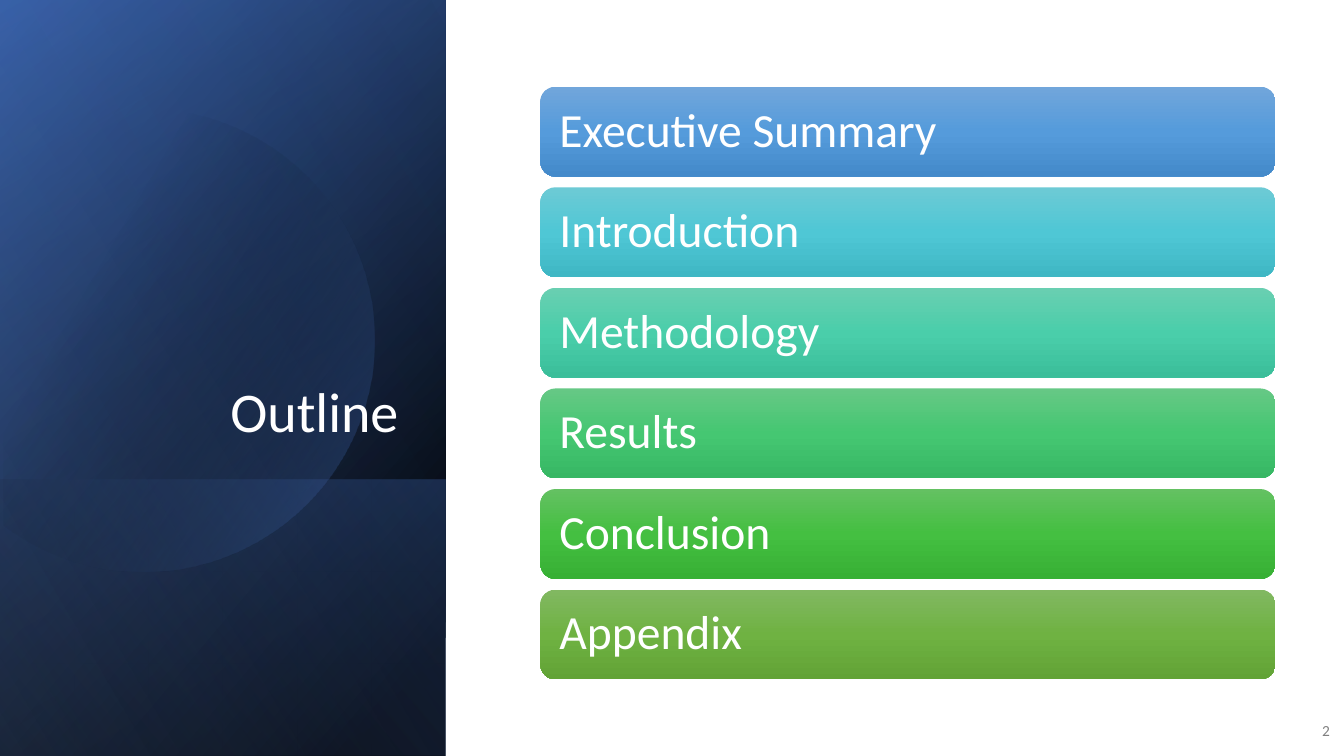
from collections import namedtuple
from math import cos, radians, sin

from lxml.etree import SubElement
from pptx import Presentation
from pptx.dml.color import RGBColor
from pptx.enum.shapes import MSO_SHAPE
from pptx.enum.text import MSO_ANCHOR, PP_ALIGN
from pptx.oxml.ns import qn
from pptx.util import Inches, Pt

Box = namedtuple("Box", "left top width height")

SLIDE = Box(0, 0, Inches(13.33), Inches(7.5))
FONT = "Calibri"
WHITE = RGBColor(0xFF, 0xFF, 0xFF)
GRAY = RGBColor(0x80, 0x80, 0x80)
BLACK = RGBColor(0x00, 0x00, 0x00)
NAVY = RGBColor(0x2F, 0x55, 0x97)
BLUE = RGBColor(0x44, 0x72, 0xC4)
PALE_BLUE = RGBColor(0x8F, 0xAA, 0xDC)

SECTIONS = [
    ("Executive Summary", ("71A6DB", "559BDB", "448ACA")),
    ("Introduction", ("6DCAD5", "4FC7D5", "3FB7C4")),
    ("Methodology", ("69CFB1", "4ACEAA", "3BBE9A")),
    ("Results", ("66C885", "45C772", "37B764")),
    ("Conclusion", ("64C162", "44BF41", "37B034")),
    ("Appendix", ("81B861", "6FB242", "62A336")),
]


def part(box, left, top, width, height):
    return Box(
        box.left + round(box.width * left / 100),
        box.top + round(box.height * top / 100),
        round(box.width * width / 100),
        round(box.height * height / 100),
    )


def paint_gradient(shape, stops, angle):
    shape.shadow.inherit = False
    shape.line.fill.background()
    shape.fill.gradient()
    shape.fill.gradient_angle = 0
    gradient = shape._element.spPr.find(qn("a:gradFill"))
    gradient.find(qn("a:lin")).set("ang", str(angle * 60000))
    stop_list = gradient.find(qn("a:gsLst"))
    for old_stop in list(stop_list):
        stop_list.remove(old_stop)
    for position, color, opacity in stops:
        stop = SubElement(stop_list, qn("a:gs"), pos=str(position * 1000))
        tint = SubElement(stop, qn("a:srgbClr"), val=str(color))
        if opacity < 100:
            SubElement(tint, qn("a:alpha"), val=str(opacity * 1000))


def write(shape, text, size, color, align, anchor, inset=None):
    frame = shape.text_frame
    frame.word_wrap = True
    frame.vertical_anchor = anchor
    if inset is not None:
        frame.margin_left = frame.margin_right = inset
    paragraph = frame.paragraphs[0]
    paragraph.alignment = align
    paragraph.line_spacing = 0.9
    run = paragraph.add_run()
    run.text = text
    run.font.name = FONT
    run.font.size = Pt(size)
    run.font.color.rgb = color


def add_turned_layer(slide, box, stops, angle):
    left = box.left + (box.width - box.height) // 2
    top = box.top + (box.height - box.width) // 2
    layer = slide.shapes.add_shape(MSO_SHAPE.RECTANGLE, left, top, box.height, box.width)
    layer.rotation = 90
    layer._element.spPr.find(qn("a:xfrm")).set("flipH", "1")
    paint_gradient(layer, stops, angle)


def add_cut_circle(slide, box):
    center_x = box.left + box.width * 0.32
    center_y = box.top + box.height * 0.45
    radius = box.width * 0.52
    points = [
        (round(center_x + radius * cos(radians(a))), round(center_y + radius * sin(radians(a))))
        for a in range(-127, 128, 2)
    ]
    builder = slide.shapes.build_freeform(*points[0])
    builder.add_line_segments(points[1:], close=True)
    circle = builder.convert_to_shape()
    paint_gradient(circle, [(29, BLACK, 0), (100, BLUE, 43)], 30)


def add_title_panel(slide, box):
    footer = part(box, 0, 63.47, 100, 36.53)
    add_turned_layer(slide, box, [(8, BLACK, 100), (100, NAVY, 100)], 50)
    add_turned_layer(slide, box, [(0, BLACK, 0), (99, BLUE, 46)], 30)
    add_turned_layer(slide, footer, [(2, BLUE, 29), (100, BLACK, 30)], 130)
    add_cut_circle(slide, box)
    add_turned_layer(slide, box, [(0, BLACK, 0), (99, PALE_BLUE, 11)], 120)
    title = slide.shapes.add_textbox(*part(box, 14.48, 24.53, 77.15, 34.93))
    write(title, "Outline", 40, WHITE, PP_ALIGN.RIGHT, MSO_ANCHOR.BOTTOM)


def add_section_list(slide, box):
    gap_share = 0.12
    bar_height = box.height / (len(SECTIONS) + gap_share * (len(SECTIONS) - 1))
    for row, (name, colors) in enumerate(SECTIONS):
        top = box.top + round(row * bar_height * (1 + gap_share))
        bar = slide.shapes.add_shape(
            MSO_SHAPE.ROUNDED_RECTANGLE, box.left, top, box.width, round(bar_height)
        )
        stops = [(i * 50, RGBColor.from_string(c), 100) for i, c in enumerate(colors)]
        paint_gradient(bar, stops, 90)
        inset = round(box.width * 0.02)
        write(bar, name, 34, WHITE, PP_ALIGN.LEFT, MSO_ANCHOR.MIDDLE, inset)


def add_page_number(slide, box):
    number = slide.shapes.add_textbox(*box)
    write(number, "2", 11, GRAY, PP_ALIGN.RIGHT, MSO_ANCHOR.MIDDLE)


def main():
    deck = Presentation()
    deck.slide_width, deck.slide_height = SLIDE.width, SLIDE.height
    slide = deck.slides.add_slide(deck.slide_layouts[6])
    add_title_panel(slide, part(SLIDE, 0, 0, 33.16, 100))
    add_page_number(slide, part(SLIDE, 96.02, 94.13, 3.68, 5.33))
    add_section_list(slide, part(SLIDE, 40.21, 11.47, 54.69, 78.4))
    deck.save("out.pptx")


if __name__ == "__main__":
    main()
